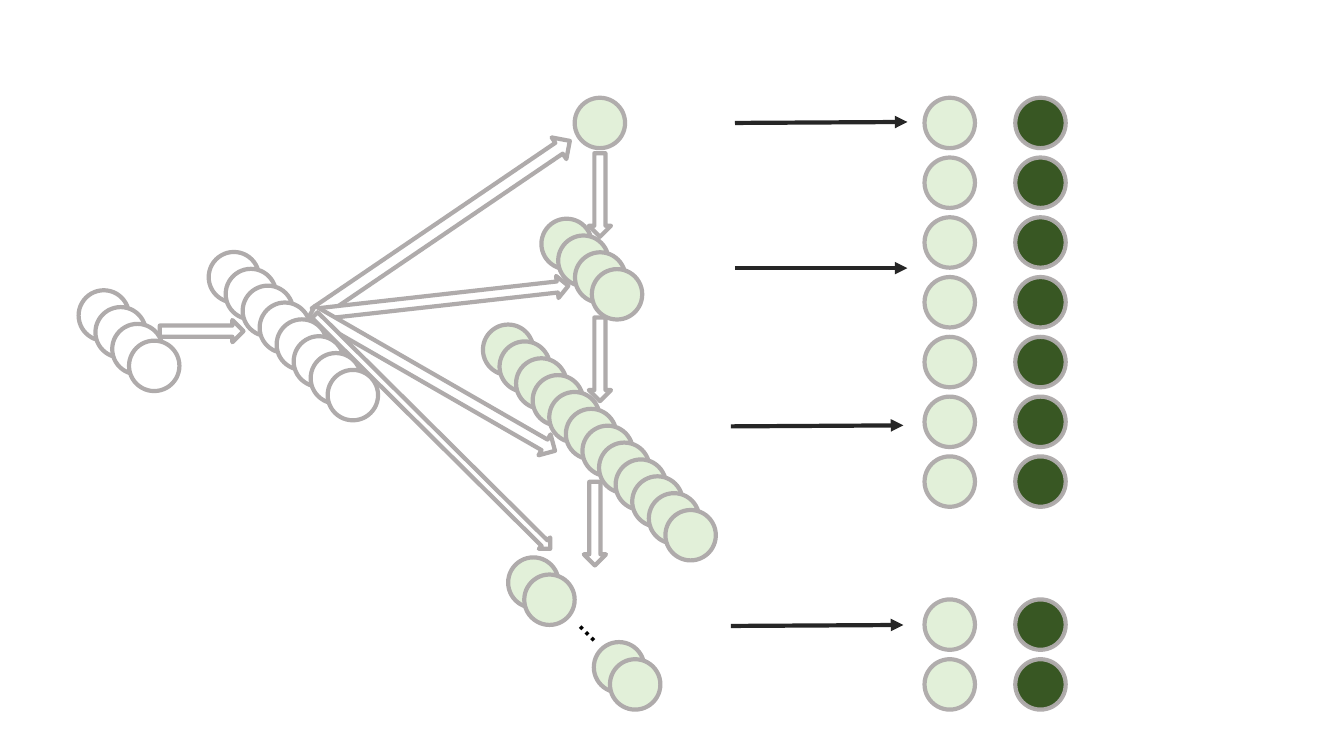
from lxml import etree
from pptx import Presentation
from pptx import util as u
from pptx.dml.color import RGBColor
from pptx.enum import shapes, text
from pptx.oxml import ns

COLORS = {
    "white": "FFFFFF",
    "pale": "E2F0D9",
    "dark": "385723",
    "outline": "AFABAB",
    "arrow": "262626",
    "ink": "000000",
}
DIAMETER = 0.5
LINE_WIDTH = 3


def color(name):
    return RGBColor.from_string(COLORS[name])


def style(shape, fill, opacity=100):
    shape.shadow.inherit = False
    shape.fill.solid()
    shape.fill.fore_color.rgb = color(fill)
    shape.line.color.rgb = color("outline")
    shape.line.width = u.Pt(LINE_WIDTH)
    if opacity < 100:
        tint = shape.line._ln.find(".//" + ns.qn("a:srgbClr"))
        etree.SubElement(tint, ns.qn("a:alpha"), val=str(opacity * 1000))


def add_node(parent, left, top, fill, opacity=100):
    node = parent.add_shape(
        shapes.MSO_SHAPE.FLOWCHART_CONNECTOR,
        u.Inches(left), u.Inches(top), u.Inches(DIAMETER), u.Inches(DIAMETER))
    style(node, fill, opacity)


def add_chain(slide, box, count, fill):
    """Overlapping circles along the diagonal of the box."""
    left, top, width, height = box
    chain = slide.shapes.add_group_shape()
    for index in range(count):
        share = index / (count - 1)
        add_node(chain.shapes,
                 left + share * (width - DIAMETER),
                 top + share * (height - DIAMETER), fill)


def add_column(slide, box, fill):
    """Seven circles at the top of the box and two at its foot."""
    left, top, _, height = box
    pitch = 0.593
    offsets = [pitch * row for row in range(7)]
    offsets += [height - DIAMETER - pitch, height - DIAMETER]
    column = slide.shapes.add_group_shape()
    for offset in offsets:
        add_node(column.shapes, left, top + offset, fill, opacity=96)


def add_block_arrow(slide, box, rotation=0):
    arrow = slide.shapes.add_shape(
        shapes.MSO_SHAPE.DOWN_ARROW, *[u.Inches(length) for length in box])
    arrow.rotation = rotation
    style(arrow, "white")


def add_line_arrow(slide, left, top, rise=0.01, length=1.71):
    arrow = slide.shapes.add_connector(
        shapes.MSO_CONNECTOR.STRAIGHT, u.Inches(left), u.Inches(top),
        u.Inches(left + length), u.Inches(top - rise))
    arrow.line.color.rgb = color("arrow")
    arrow.line.width = u.Pt(LINE_WIDTH)
    etree.SubElement(arrow.line._ln, ns.qn("a:tailEnd"), type="triangle")
    etree.SubElement(arrow._element.spPr, ns.qn("a:effectLst"))


def add_label(slide, box, content, size=18, bold=False, rotation=0):
    label = slide.shapes.add_textbox(*[u.Inches(length) for length in box])
    label.rotation = rotation
    frame = label.text_frame
    frame.word_wrap = False
    frame.auto_size = text.MSO_AUTO_SIZE.SHAPE_TO_FIT_TEXT
    paragraph = frame.paragraphs[0]
    run = paragraph.add_run()
    run.text = content
    run.font.name = "Arial"
    run.font.size = u.Pt(size)
    run.font.bold = bold
    run.font.color.rgb = color("ink")


def add_layers(slide, box):
    """Input chains, output chains and the block arrows between them."""
    left, top, _, _ = box

    def place(x, y, width, height):
        return left + x, top + y, width, height

    # Output chains
    add_node(slide.shapes, left + 4.92, top, "pale", opacity=96)
    add_chain(slide, place(4.59, 1.2, 1, 1), 4, "pale")
    add_chain(slide, place(4.01, 2.25, 2.31, 2.34), 12, "pale")

    # Input chains
    add_chain(slide, place(0, 1.91, 1, 1), 4, "white")
    add_chain(slide, place(1.29, 1.53, 1.68, 1.67), 8, "white")

    # Arrows from the input to each output
    for x, y, width, height, rotation in (
            (1.11, 1.9, 0.22, 0.83, 270),
            (3.48, -0.24, 0.26, 3.05, 235.8),
            (3.5, 0.75, 0.22, 2.51, 263.6),
            (3.4, 1.42, 0.24, 2.78, 299.9),
            (3.43, 1.67, 0.16, 3.29, 314.8)):
        add_block_arrow(slide, place(x, y, width, height), rotation)

    # Arrows from one output down to the next
    for x, y in ((5.06, 0.55), (5.06, 2.18), (5.01, 3.81)):
        add_block_arrow(slide, place(x, y, 0.22, 0.83))

    # Last output, shortened by an ellipsis
    for x, y in ((4.26, 4.56), (5.11, 5.4)):
        add_chain(slide, place(x, y, 0.66, 0.67), 2, "pale")
    add_label(slide, place(4.76, 5.17, 0.45, 0.4), "…", bold=True, rotation=225)


def add_results(slide, box):
    """Line arrows and the two columns they lead to."""
    left, top, width, height = box
    add_line_arrow(slide, left + 0.04, top + 0.25)
    add_line_arrow(slide, left + 0.04, top + 1.69, rise=0)
    add_line_arrow(slide, left, top + 3.26)
    add_line_arrow(slide, left, top + 5.24)
    for x, fill in ((width - 1.4, "pale"), (width - DIAMETER, "dark")):
        add_column(slide, (left + x, top, DIAMETER, height), fill)


def main():
    presentation = Presentation()
    presentation.slide_width = u.Inches(13.33)
    presentation.slide_height = u.Inches(7.5)
    slide = presentation.slides.add_slide(presentation.slide_layouts[6])
    add_layers(slide, (0.78, 0.97, 6.32, 6.07))
    add_results(slide, (7.25, 0.97, 3.32, 6.07))
    presentation.save("out.pptx")


if __name__ == "__main__":
    main()
